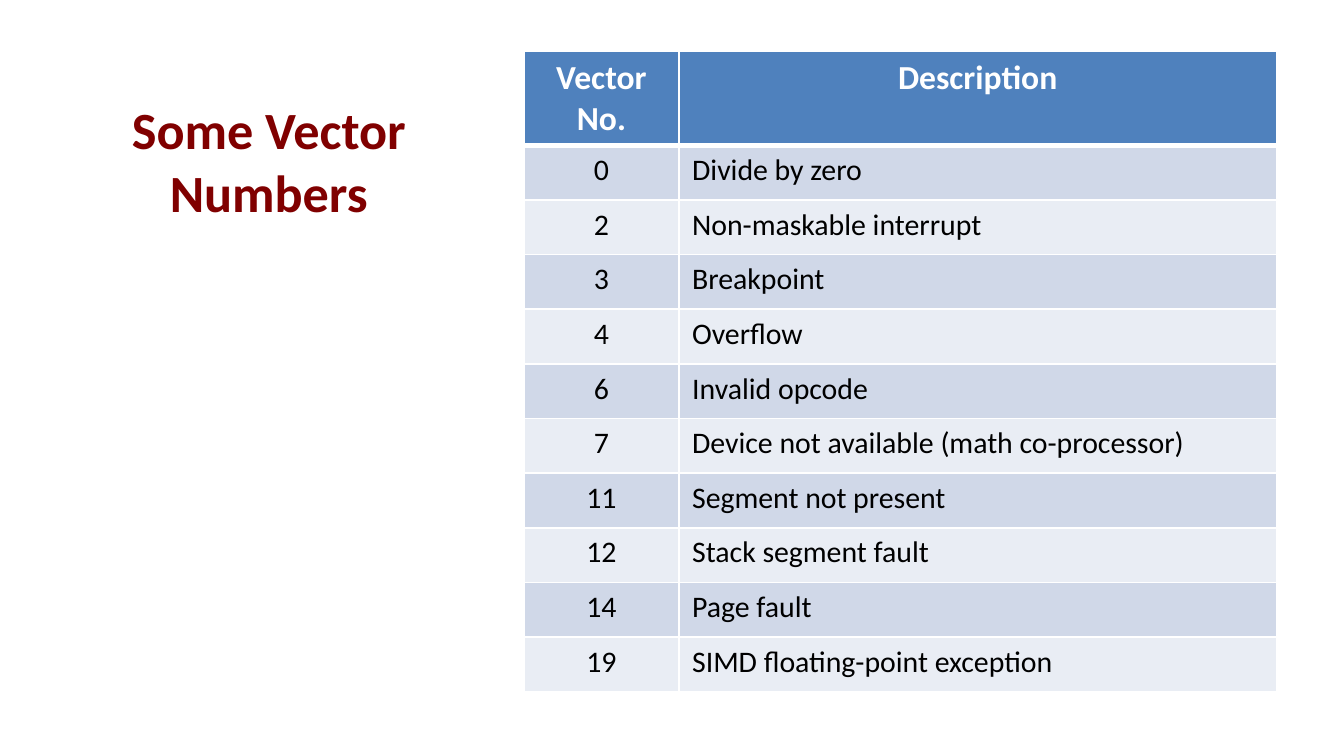
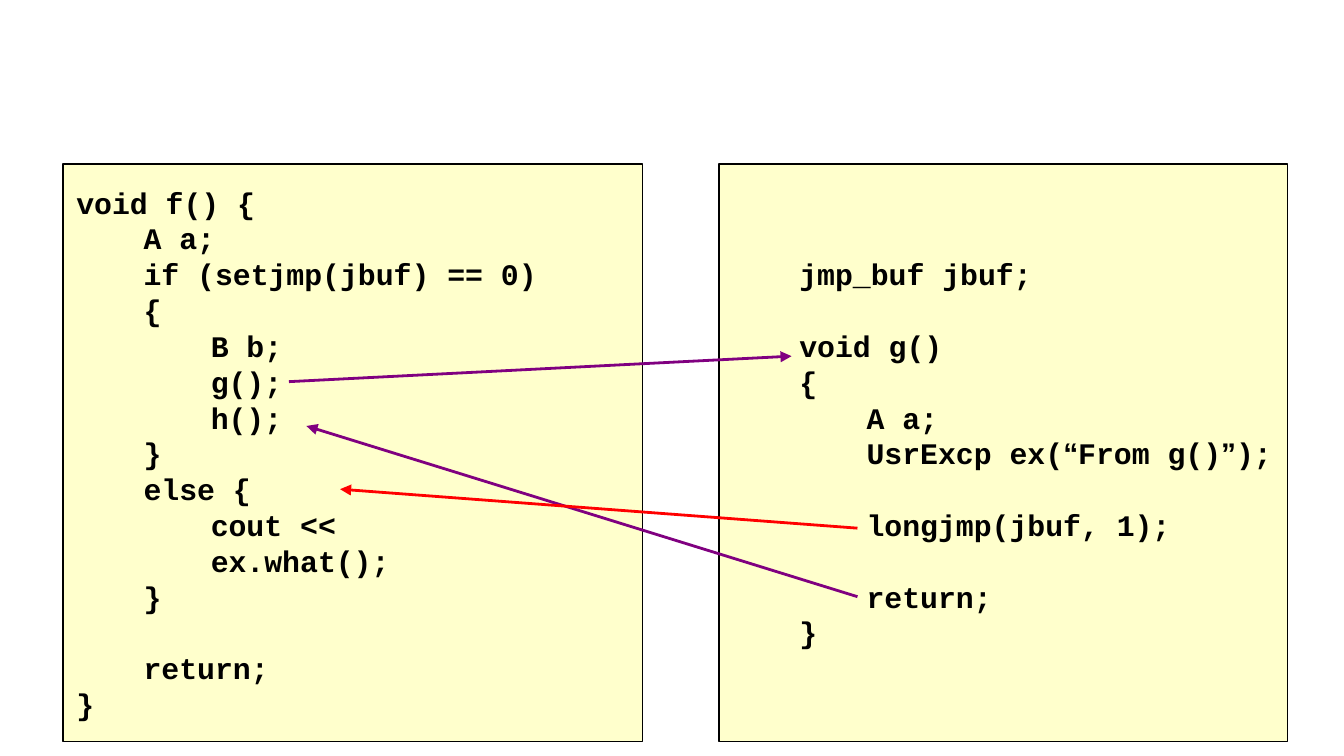
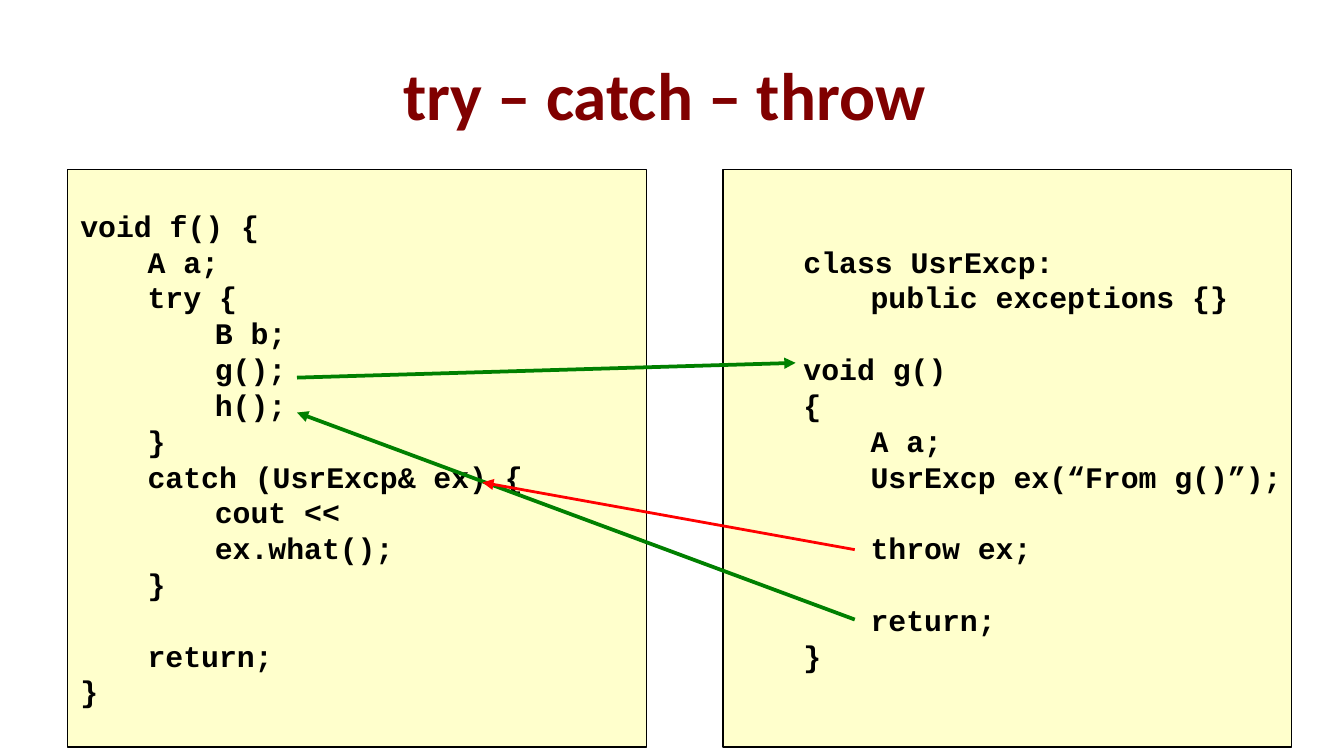
from itertools import cycle

from lxml.etree import SubElement
from pptx import Presentation
from pptx.dml.color import RGBColor
from pptx.enum.shapes import MSO_CONNECTOR as Conn, MSO_SHAPE as Shape
from pptx.enum.text import MSO_ANCHOR as Anchor, PP_ALIGN as Align
from pptx.oxml.ns import qn
from pptx.util import Inches, Pt

# Shared colours and fonts
MAROON = RGBColor(0x80, 0x00, 0x00)
WHITE = RGBColor(0xFF, 0xFF, 0xFF)
BLACK = RGBColor(0x00, 0x00, 0x00)
CREAM = RGBColor(0xFF, 0xFF, 0xCC)
PURPLE = RGBColor(0x80, 0x00, 0x80)
GREEN = RGBColor(0x00, 0x80, 0x00)
RED = RGBColor(0xFF, 0x00, 0x00)
HEADER_BLUE = RGBColor(0x4F, 0x81, 0xBD)
BANDS = RGBColor(0xD0, 0xD8, 0xE8), RGBColor(0xE9, 0xED, 0xF4)
BODY_FONT, CODE_FONT, QUOTE_FONT = "Calibri", "Courier New", "Arial"

CODE_SIZE = 16
CODE_LINE = Pt(19.2)
INDENT = Inches(0.5)

VECTORS = [
    ("0", "Divide by zero"),
    ("2", "Non-maskable interrupt"),
    ("3", "Breakpoint"),
    ("4", "Overflow"),
    ("6", "Invalid opcode"),
    ("7", "Device not available (math co-processor)"),
    ("11", "Segment not present"),
    ("12", "Stack segment fault"),
    ("14", "Page fault"),
    ("19", "SIMD floating-point exception"),
]

# Code listings: four spaces are one indent level, a blank line is a gap
SETJMP_CALLER = """\
void f() {
    A a;
    if (setjmp(jbuf) == 0)
    {
        B b;
        g();
        h();
    }
    else {
        cout <<
        ex.what();
    }

    return;
}"""
LONGJMP_CALLEE = """\
jmp_buf jbuf;

void g()
{
    A a;
    UsrExcp ex(“From g()”);

    longjmp(jbuf, 1);

    return;
}"""
TRY_CALLER = """\
void f() {
    A a;
    try {
        B b;
        g();
        h();
    }
    catch (UsrExcp& ex) {
        cout <<
        ex.what();
    }

    return;
}"""
THROW_CALLEE = """\
class UsrExcp:
    public exceptions {}

void g()
{
    A a;
    UsrExcp ex(“From g()”);

    throw ex;

    return;
}"""


def grid(*cells):
    """Turn grid positions into lengths; the slide is 100 columns wide."""
    return [Inches(c / 10) for c in cells]


def add_run(p, text, size, color, bold=False, font=BODY_FONT):
    r = p.add_run()
    r.text = text
    r.font.size, r.font.bold, r.font.name = Pt(size), bold, font
    r.font.color.rgb = color


def add_title(s, box, text, size):
    tf = s.shapes.add_textbox(*grid(*box)).text_frame
    tf.word_wrap = True
    tf.vertical_anchor = Anchor.MIDDLE
    p = tf.paragraphs[0]
    p.alignment = Align.CENTER
    add_run(p, text, size, MAROON, bold=True)


def set_borders(cell, top, bottom):
    tcPr = cell._tc.get_or_add_tcPr()
    for side, width in zip("LRTB", (1, 1, top, bottom)):
        ln = SubElement(tcPr, qn(f"a:ln{side}"), w=str(Pt(width)))
        SubElement(SubElement(ln, qn("a:solidFill")), qn("a:srgbClr"), val=str(WHITE))


def fill_row(row, texts, fill, size, color, header=False, top=1):
    for i, (cell, text) in enumerate(zip(row.cells, texts)):
        set_borders(cell, top, 3 if header else 1)
        cell.fill.solid()
        cell.fill.fore_color.rgb = fill
        p = cell.text_frame.paragraphs[0]
        p.alignment = Align.CENTER if header or i == 0 else Align.LEFT
        add_run(p, text, size, color, bold=header)


def add_vector_table(s, box, widths, header_height):
    frame = s.shapes.add_table(len(VECTORS) + 1, 2, *grid(*box))
    table = frame.table
    for column, width in zip(table.columns, grid(*widths)):
        column.width = width
    header, *body = table.rows
    header.height, body_height = grid(header_height, (box[3] - header_height) / len(body))
    fill_row(header, ("Vector No.", "Description"), HEADER_BLUE, 18, WHITE, header=True)
    for i, (row, texts, fill) in enumerate(zip(body, VECTORS, cycle(BANDS))):
        row.height = body_height
        fill_row(row, texts, fill, 16, BLACK, top=1 if i else 3)


def add_code(s, box, code, base_level=0, quote_font=CODE_FONT):
    sp = s.shapes.add_shape(Shape.RECTANGLE, *grid(*box))
    sp.shadow.inherit = False
    sp.fill.solid()
    sp.fill.fore_color.rgb = CREAM
    sp.line.color.rgb = BLACK
    sp.line.width = Pt(0.75)
    tf = sp.text_frame
    tf.word_wrap = False
    tf.vertical_anchor = Anchor.MIDDLE
    p, gap = tf.paragraphs[0], False
    for line in code.splitlines():
        text = line.strip()
        if not text:
            gap = True
            continue
        if p.runs:
            p = tf.add_paragraph()
        level = base_level + (len(line) - len(text)) // 4
        pPr = p._p.get_or_add_pPr()
        pPr.set("marL", str(level * INDENT))
        pPr.set("indent", "0")
        p.alignment = Align.LEFT
        p.line_spacing = CODE_LINE
        p.space_before = CODE_LINE if gap else Pt(0)
        gap = False
        # Curly quotes may need a font of their own
        for part in text.replace("“", "\n“\n").replace("”", "\n”\n").split("\n"):
            font = quote_font if part in ("“", "”") else CODE_FONT
            add_run(p, part, CODE_SIZE, BLACK, bold=True, font=font)


def add_code_pair(s, left, top, caller, callee, quote_font=CODE_FONT):
    add_code(s, (left, top, 43.1, 43), caller)
    add_code(s, (left + 48.8, top, 42.3, 43), callee, 1, quote_font)


def add_arrow(s, start, end, color, width):
    line = s.shapes.add_connector(Conn.STRAIGHT, *grid(*start, *end))
    line.line.color.rgb = color
    line.line.width = Pt(width)
    SubElement(line.line._get_or_add_ln(), qn("a:tailEnd"), type="triangle")
    SubElement(line._element.spPr, qn("a:effectLst"))


def main():
    prs = Presentation()
    prs.slide_width, prs.slide_height = grid(100, 56.25)
    vectors, setjmp, try_catch = (
        prs.slides.add_slide(prs.slide_layouts[6]) for _ in range(3))

    # Vector numbers
    add_title(vectors, (3.7, 6.4, 32.6, 11), "Some Vector Numbers", 28)
    add_vector_table(vectors, (39, 3.8, 56, 47.6), (11.5, 44.5), 6.9)

    # setjmp and longjmp
    add_code_pair(setjmp, 4.7, 12.2, SETJMP_CALLER, LONGJMP_CALLEE, QUOTE_FONT)
    add_arrow(setjmp, (21.5, 28.4), (58.9, 26.5), PURPLE, 1.5)
    add_arrow(setjmp, (63.8, 44.4), (22.8, 31.7), PURPLE, 1.5)
    add_arrow(setjmp, (63.8, 39.3), (25.3, 36.4), RED, 1.5)

    # try, catch and throw
    add_title(try_catch, (5, 2.3, 90, 9.4), "try – catch – throw ", 36)
    add_code_pair(try_catch, 5, 12.6, TRY_CALLER, THROW_CALLEE)
    add_arrow(try_catch, (22.1, 28.1), (59.2, 27), GREEN, 2)
    add_arrow(try_catch, (63.6, 46.1), (22.1, 30.7), GREEN, 2)
    add_arrow(try_catch, (63.6, 40.9), (35.9, 35.9), RED, 1.5)

    prs.save("out.pptx")


if __name__ == "__main__":
    main()
